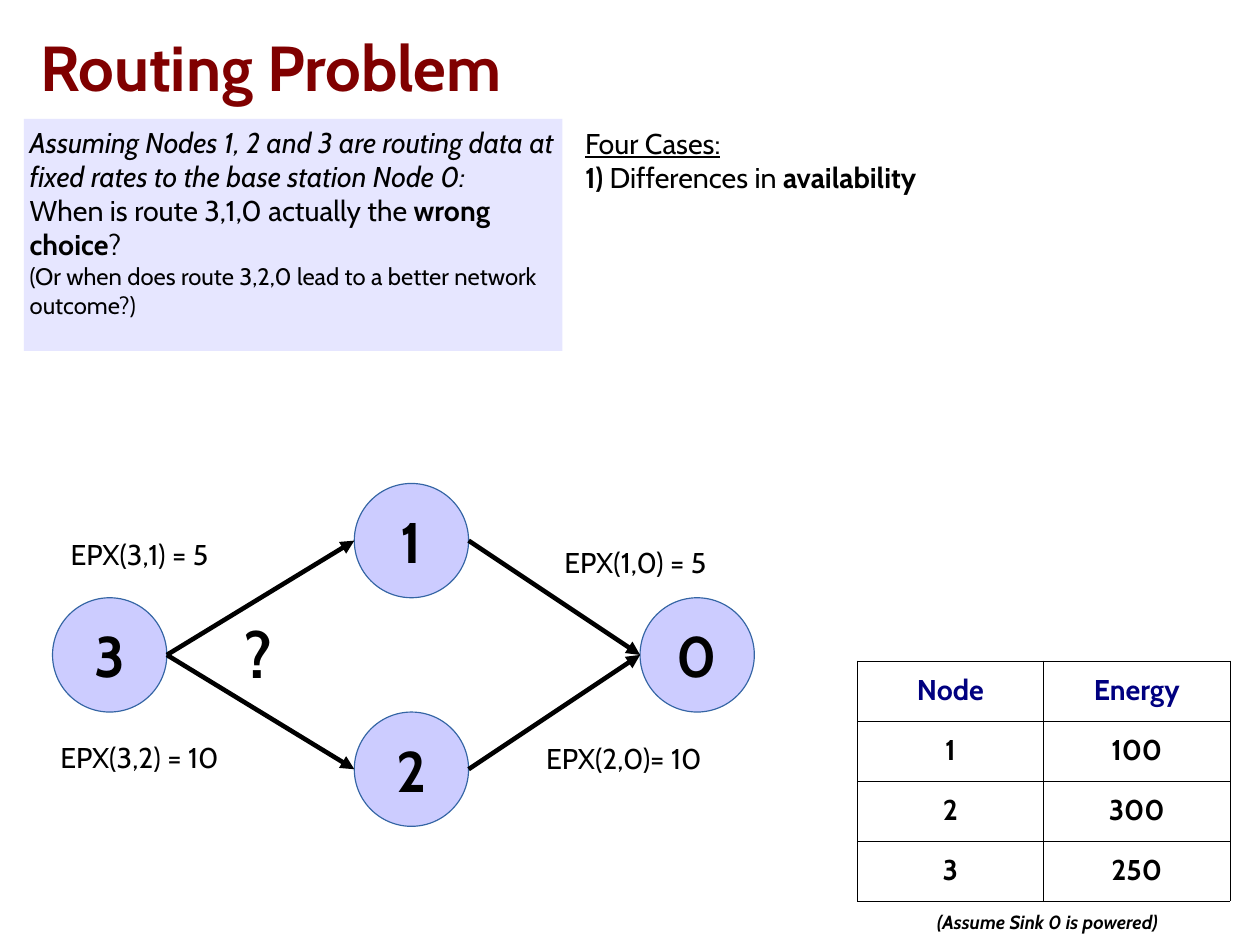
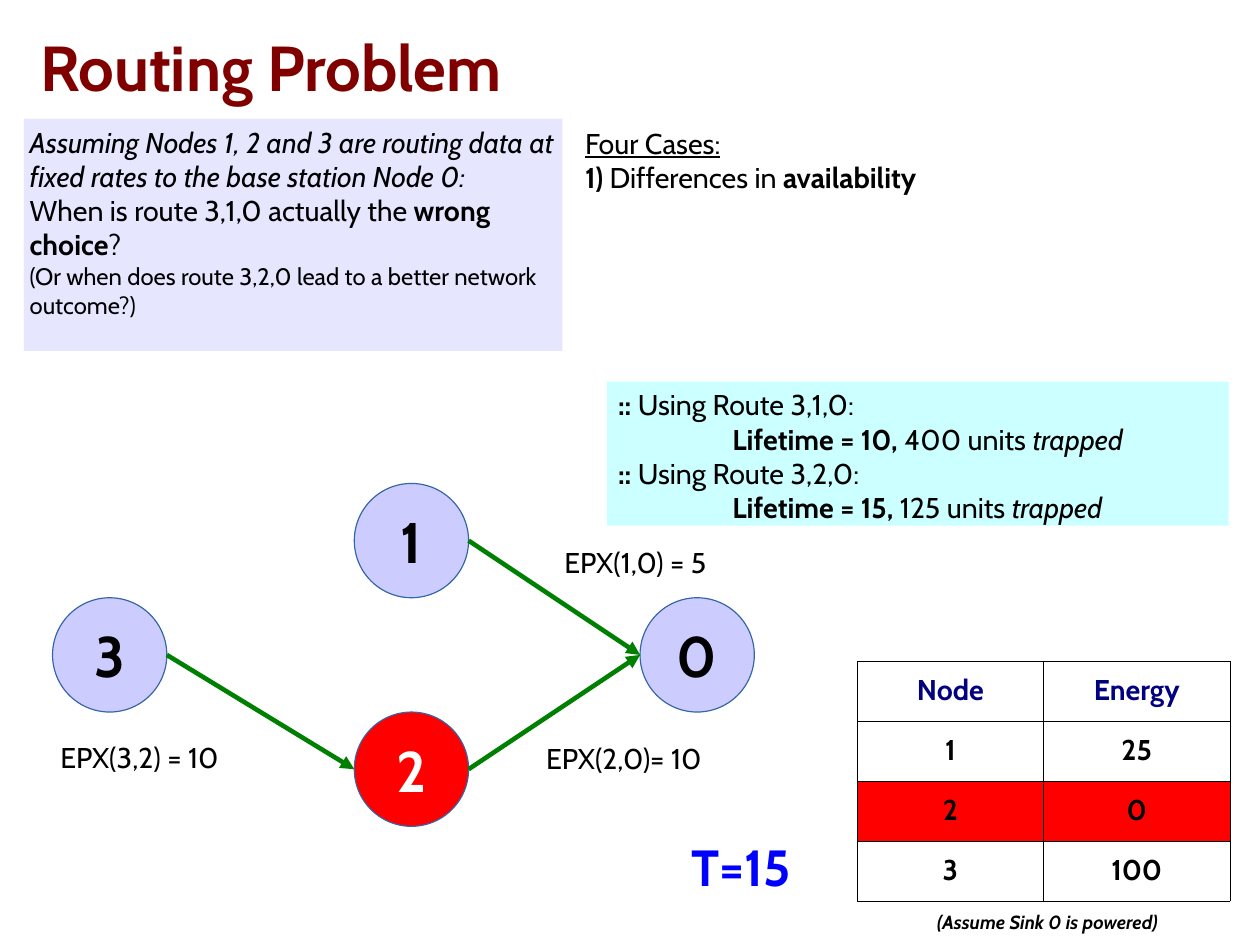
from dataclasses import dataclass
from lxml.etree import SubElement
from pptx import Presentation
from pptx.dml.color import RGBColor
from pptx.enum.shapes import MSO_CONNECTOR, MSO_SHAPE
from pptx.enum.text import MSO_ANCHOR, MSO_AUTO_SIZE, PP_ALIGN
from pptx.oxml.ns import qn
from pptx.slide import Slide
from pptx.text.text import Font, TextFrame
from pptx.util import Inches, Pt


@dataclass(frozen=True)
class Theme:
    face: str = "Cabin"
    ink: str = "000000"
    white: str = "FFFFFF"
    maroon: str = "800000"
    navy: str = "000080"
    blue: str = "0000FF"
    green: str = "008000"
    red: str = "FF0000"
    node: str = "CCCCFF"
    edge: str = "3465A4"
    panel: str = "E6E6FF"
    aqua: str = "CCFFFF"
    title: int = 40
    digit: int = 36
    clock: int = 32
    body: int = 18
    small: int = 15
    note: int = 12


THEME = Theme()


@dataclass(frozen=True)
class Bit:
    text: str
    style: str = ""
    size: int = THEME.body
    color: str = THEME.ink


@dataclass(frozen=True)
class Para:
    bits: tuple[Bit, ...]
    indent: float = 0


@dataclass(frozen=True)
class Box:
    x: float
    y: float
    w: float
    h: float

    def place(self) -> tuple[Inches, ...]:
        return tuple(Inches(n) for n in (self.x, self.y, self.w, self.h))


@dataclass(frozen=True)
class Node:
    name: str
    x: float
    y: float


@dataclass(frozen=True)
class Link:
    start: str
    end: str
    label: str
    box: Box


@dataclass(frozen=True)
class State:
    color: str
    links: tuple[Link, ...]
    power: tuple[int, ...]
    dead: str = ""


SIZE = 1
NODES = {n.name: n for n in (
    Node("1", 3.1, 4.23),
    Node("2", 3.1, 6.23),
    Node("0", 5.6, 5.23),
    Node("3", 0.46, 5.23),
)}
LINKS = (
    Link("1", "0", "EPX(1,0) = 5", Box(4.84, 4.72, 1.8, 0.39)),
    Link("2", "0", "EPX(2,0)= 10", Box(4.68, 6.43, 1.88, 0.6)),
    Link("3", "2", "EPX(3,2) = 10", Box(0.43, 6.42, 1.96, 0.39)),
    Link("3", "1", "EPX(3,1) = 5", Box(0.52, 4.65, 1.8, 0.39)),
)
START = State(THEME.ink, LINKS, (100, 300, 250))
FINAL = State(THEME.green, LINKS[:3], (25, 0, 100), "2")

TASK = (
    Para((Bit("Assuming Nodes 1, 2 and 3 are routing data at fixed rates "
              "to the base station Node 0:", "i"),)),
    Para((Bit("When is route 3,1,0 actually the "),
          Bit("wrong choice", "b"), Bit("?"))),
    Para((Bit("(Or when does route 3,2,0 lead to a better network outcome?)",
              size=THEME.small),)),
)
CASES = (
    Para((Bit("Four Cases:", "u"),)),
    Para((Bit("1)", "b"), Bit(" Differences in "), Bit("availability", "b"))),
)


def route(name: str, life: int, left: int) -> tuple[Para, Para]:
    return (
        Para((Bit(":: ", "b"), Bit(f"Using Route {name}:"))),
        Para((Bit(f"Lifetime = {life},", "b"), Bit(f" {left} units "),
              Bit("trapped", "i")), 1),
    )


def paint(font: Font, bit: Bit) -> None:
    font.name = THEME.face
    font.size = Pt(bit.size)
    font.bold = "b" in bit.style
    font.italic = "i" in bit.style
    font.underline = "u" in bit.style
    font.color.rgb = RGBColor.from_string(bit.color)


def write(frame: TextFrame, paras: tuple[Para, ...],
          align: PP_ALIGN = PP_ALIGN.LEFT) -> None:
    frame.word_wrap = True
    for i, para in enumerate(paras):
        line = frame.add_paragraph() if i else frame.paragraphs[0]
        line.alignment = align
        if para.indent:
            line._p.get_or_add_pPr().set("marL", str(Inches(para.indent)))
        for bit in para.bits:
            run = line.add_run()
            run.text = bit.text
            paint(run.font, bit)


def add_text(slide: Slide, box: Box, *paras: Para,
             align: PP_ALIGN = PP_ALIGN.LEFT) -> None:
    write(slide.shapes.add_textbox(*box.place()).text_frame, paras, align)


def add_panel(slide: Slide, box: Box, fill: str, paras: tuple[Para, ...],
              side: float = 0.1, foot: float = 0.05) -> None:
    panel = slide.shapes.add_shape(MSO_SHAPE.RECTANGLE, *box.place())
    panel.shadow.inherit = False
    panel.fill.solid()
    panel.fill.fore_color.rgb = RGBColor.from_string(fill)
    panel.line.fill.background()
    frame = panel.text_frame
    frame.margin_left = frame.margin_right = Inches(side)
    frame.margin_bottom = Inches(foot)
    frame.vertical_anchor = MSO_ANCHOR.TOP
    write(frame, paras)


def add_node(slide: Slide, node: Node, dead: bool) -> None:
    box = Box(node.x, node.y, SIZE, SIZE)
    disc = slide.shapes.add_shape(MSO_SHAPE.OVAL, *box.place())
    disc.shadow.inherit = False
    disc.fill.solid()
    fill = THEME.red if dead else THEME.node
    disc.fill.fore_color.rgb = RGBColor.from_string(fill)
    disc.line.color.rgb = RGBColor.from_string(THEME.edge)
    disc.line.width = Pt(0)
    disc.text_frame.vertical_anchor = MSO_ANCHOR.MIDDLE
    color = THEME.white if dead else THEME.ink
    bit = Bit(node.name, "b", THEME.digit, color)
    write(disc.text_frame, (Para((bit,)),), PP_ALIGN.CENTER)


def add_link(slide: Slide, link: Link, color: str) -> None:
    a, b = NODES[link.start], NODES[link.end]
    ends = (a.x + SIZE, a.y + SIZE / 2, b.x, b.y + SIZE / 2)
    arrow = slide.shapes.add_connector(
        MSO_CONNECTOR.STRAIGHT, *(Inches(n) for n in ends))
    arrow.line.color.rgb = RGBColor.from_string(color)
    arrow.line.width = Pt(2.89)
    SubElement(arrow.line._get_or_add_ln(), qn("a:tailEnd"), type="triangle")
    SubElement(arrow._element.spPr, qn("a:effectLst"))
    add_text(slide, link.box, Para((Bit(link.label),)))


def add_grid(slide: Slide, state: State) -> None:
    rows = [("Node", "Energy")]
    rows += [(str(i), str(n)) for i, n in enumerate(state.power, 1)]
    box = Box(7.5, 5.78, 3.26, 2.1)
    grid = slide.shapes.add_table(len(rows), 2, *box.place()).table
    grid.first_row = grid.horz_banding = False
    for r, row in enumerate(rows):
        for c, text in enumerate(row):
            cell = grid.cell(r, c)
            cell.vertical_anchor = MSO_ANCHOR.MIDDLE
            color = THEME.ink if r else THEME.navy
            bit = Bit(text, "b", color=color)
            write(cell.text_frame, (Para((bit,)),), PP_ALIGN.CENTER)
            props = cell._tc.get_or_add_tcPr()
            for side in ("lnL", "lnR", "lnT", "lnB"):
                rule = SubElement(props, qn(f"a:{side}"), w=str(Pt(0.06)))
                fill = SubElement(rule, qn("a:solidFill"))
                SubElement(fill, qn("a:srgbClr"), val=THEME.ink)
            if row[0] == state.dead:
                cell.fill.solid()
                cell.fill.fore_color.rgb = RGBColor.from_string(THEME.red)
            else:
                cell.fill.background()


def add_title(slide: Slide, text: str) -> None:
    title = slide.shapes.title
    box = Box(0.35, 0, 10.68, 1.15)
    title.left, title.top, title.width, title.height = box.place()
    frame = title.text_frame
    frame.auto_size = MSO_AUTO_SIZE.NONE
    frame.vertical_anchor = MSO_ANCHOR.MIDDLE
    frame.margin_left = frame.margin_right = Inches(0)
    frame.margin_top = frame.margin_bottom = Inches(0)
    bit = Bit(text, "b", THEME.title, THEME.maroon)
    write(frame, (Para((bit,)),))


def add_scene(deck: Presentation, state: State) -> Slide:
    slide = deck.slides.add_slide(deck.slide_layouts[5])
    add_title(slide, "Routing Problem")
    for node in NODES.values():
        add_node(slide, node, node.name == state.dead)
    for link in state.links:
        add_link(slide, link, state.color)
    add_panel(slide, Box(0.21, 1.04, 4.71, 2.03), THEME.panel, TASK, 0.05, 0)
    add_text(slide, Box(5.02, 1.05, 4.3, 1.84), *CASES)
    add_grid(slide, state)
    note = Bit("(Assume Sink 0 is powered)", "bi", THEME.note)
    add_text(slide, Box(7.65, 7.92, 3.03, 0.29), Para((note,)),
             align=PP_ALIGN.CENTER)
    return slide


def main() -> None:
    deck = Presentation()
    deck.slide_width = Inches(28 / 2.54)
    deck.slide_height = Inches(21 / 2.54)
    first = add_scene(deck, START)
    add_text(first, Box(2.04, 5.33, 0.52, 0.75),
             Para((Bit("?", "b", THEME.title),)))
    last = add_scene(deck, FINAL)
    add_text(last, Box(5.95, 7.26, 1.49, 0.62),
             Para((Bit("T=15", "b", THEME.clock, THEME.blue),)))
    add_panel(last, Box(5.31, 3.34, 5.44, 1.26), THEME.aqua,
              route("3,1,0", 10, 400) + route("3,2,0", 15, 125))
    deck.save("out.pptx")


if __name__ == "__main__":
    main()
